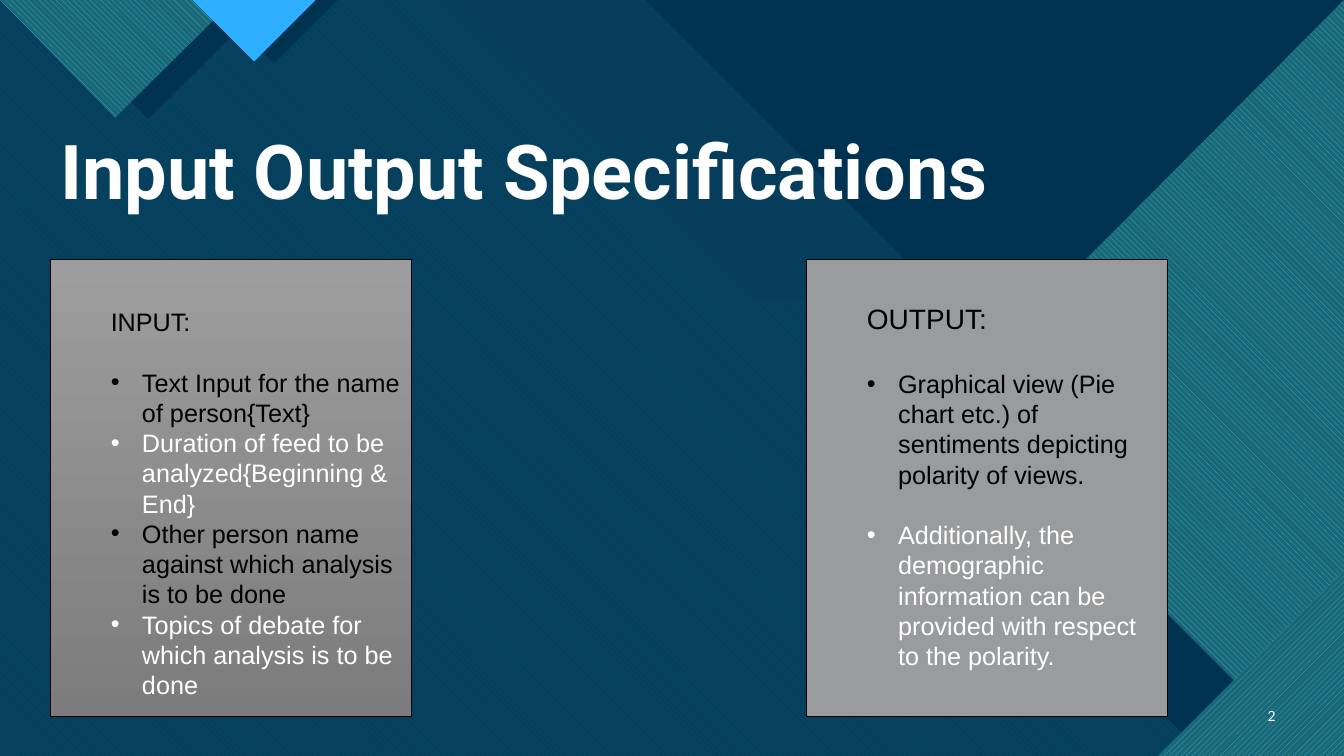
from lxml import etree
from pptx import Presentation
from pptx.dml.color import RGBColor
from pptx.enum.dml import MSO_PATTERN
from pptx.enum.shapes import MSO_SHAPE
from pptx.enum.text import MSO_ANCHOR, PP_ALIGN
from pptx.oxml.ns import qn
from pptx.util import Inches, Pt

DOWN = MSO_PATTERN.WIDE_DOWNWARD_DIAGONAL
UP = MSO_PATTERN.WIDE_UPWARD_DIAGONAL
RECT = MSO_SHAPE.RECTANGLE
TOP, MIDDLE, BOTTOM = MSO_ANCHOR.TOP, MSO_ANCHOR.MIDDLE, MSO_ANCHOR.BOTTOM
LEFT, RIGHT = PP_ALIGN.LEFT, PP_ALIGN.RIGHT

NAVY, TEAL, CYAN, SKY = "003352", "1B6872", "47C3D3", "2FAFFF"
BLACK, WHITE = "000000", "FFFFFF"


def rgb(color):
    return RGBColor.from_string(color)


def add_run(p, text, size, font, color, bold=False):
    r = p.add_run()
    r.text = text
    r.font.size = Pt(size)
    r.font.name = font
    r.font.bold = bold
    r.font.color.rgb = rgb(color)


prs = Presentation()
prs.slide_width, prs.slide_height = Inches(13.33), Inches(7.5)
s = prs.slides.add_slide(prs.slide_layouts[6])
s.background.fill.solid()
s.background.fill.fore_color.rgb = rgb("0C4360")

# Backdrop, back to front: outline, colour, pattern, pattern ground, opacity
backdrop = [
    ([(0, 0), (8.26, 0), (11.23, 2.97), (12.35, 2.97), (13.33, 3.96),
      (13.33, 7.5), (0, 7.5)], CYAN, None, None, 74),
    ([(0, 0), (4.49, 0), (7.46, 2.97), (8.72, 2.97), (13.25, 7.5), (0, 7.5)],
     "0065A4", DOWN, CYAN, 100),
    ([(6.4, 0), (13.33, 0), (13.33, 6.93)], NAVY, None, None, 100),
    ([(0, 0), (6.95, 0), (9.92, 2.97), (11.18, 2.97), (13.33, 5.13),
      (13.33, 7.5), (0, 7.5)], NAVY, None, None, 90),
    # Right-hand bands
    ([(13.33, 0.68), (13.33, 7.5), (11.95, 7.5), (9.23, 4.78)], NAVY, None, None, 100),
    ([(13.33, 0), (13.33, 7.5), (12.99, 7.5), (9.42, 3.93)], SKY, DOWN, TEAL, 100),
    ([(13.33, 6.14), (13.33, 7.5), (11.97, 7.5)], NAVY, None, None, 100),
    ([(13.33, 5.66), (13.33, 7.5), (11.49, 7.5)], SKY, UP, TEAL, 100),
    # Top-left triangles with their shades
    ([(2.66, 0), (1.47, 1.18), (0.29, 0)], NAVY, None, None, 100),
    ([(0, 0), (1.14, 1.17), (2.32, 0)], SKY, DOWN, TEAL, 100),
    ([(3.35, 0), (2.72, 0.63), (2.09, 0)], NAVY, None, None, 100),
    ([(1.91, 0), (2.52, 0.61), (3.13, 0)], SKY, None, None, 100),
]
for outline, color, pattern, ground, opacity in backdrop:
    points = [(Inches(x), Inches(y)) for x, y in outline]
    builder = s.shapes.build_freeform(*points[0])
    builder.add_line_segments(points[1:])
    sp = builder.convert_to_shape()
    sp.shadow.inherit = False
    sp.line.fill.background()
    if pattern:
        sp.fill.patterned()
        sp.fill.pattern = pattern
        sp.fill.back_color.rgb = rgb(ground)
    else:
        sp.fill.solid()
    sp.fill.fore_color.rgb = rgb(color)
    if opacity < 100:
        clr = sp.fill._xPr.find(qn("a:solidFill"))[0]
        etree.SubElement(clr, qn("a:alpha"), val=str(opacity * 1000))

# Title and slide number
labels = [
    ((0.5, 1.25, 10.75, 0.94), BOTTOM, LEFT, "Input Output Specifications", 54, "Roboto", True),
    ((12.31, 6.91, 0.44, 0.4), MIDDLE, RIGHT, "2", 10, "Lato", False),
]
for box, anchor, align, text, size, font, bold in labels:
    tf = s.shapes.add_textbox(*map(Inches, box)).text_frame
    tf.word_wrap = True
    tf.vertical_anchor = anchor
    p = tf.paragraphs[0]
    p.alignment = align
    p.line_spacing = 0.9
    add_run(p, text, size, font, WHITE, bold)

# Panels: left, inset, heading, heading size, bullets (text, colour, space before)
panels = [
    (0.5, 0.47, "INPUT:", 18, [
        ("Text Input for the name of person{Text}", BLACK, 21.6),
        ("Duration of feed to be analyzed{Beginning & End}", WHITE, 0),
        ("Other person name against which analysis is to be done", BLACK, 0),
        ("Topics of debate for which analysis is to be done", WHITE, 0)]),
    (8, 0.45, "OUTPUT:", 20, [
        ("Graphical view (Pie chart etc.) of sentiments depicting polarity of views.",
         BLACK, 24),
        ("Additionally, the demographic information can be provided with respect "
         "to the polarity.", WHITE, 21.6)]),
]
for left, inset, heading, size, bullets in panels:
    sp = s.shapes.add_shape(RECT, Inches(left), Inches(2.57), Inches(3.58), Inches(4.54))
    sp.shadow.inherit = False
    sp.line.color.rgb = rgb(BLACK)
    sp.line.width = Pt(0.5)
    if heading == "INPUT:":
        sp.fill.gradient()
        sp.fill.gradient_angle = 270
        for stop, color in zip(sp.fill.gradient_stops, ("9D9D9D", "7C7C7C")):
            stop.color.rgb = rgb(color)
    else:
        sp.fill.solid()
        sp.fill.fore_color.rgb = rgb("9A9B9D")

    tf = sp.text_frame
    tf.word_wrap = True
    tf.vertical_anchor = TOP
    tf.margin_top = Inches(inset)
    p = tf.paragraphs[0]
    p.alignment = LEFT
    p.line_spacing = Pt(21.6)
    p._p.get_or_add_pPr().set("marL", str(Inches(0.5)))
    add_run(p, heading, size, "Arial", BLACK)
    for text, color, gap in bullets:
        p = tf.add_paragraph()
        p.alignment = LEFT
        p.line_spacing = Pt(21.6)
        p.space_before = Pt(gap)
        pPr = p._p.get_or_add_pPr()
        pPr.set("marL", str(Inches(0.81)))
        pPr.set("indent", str(Inches(-0.31)))
        etree.SubElement(pPr, qn("a:buFont"), typeface="Arial")
        etree.SubElement(pPr, qn("a:buChar"), char="•")
        add_run(p, text, 18, "Arial", color)

prs.save("out.pptx")
